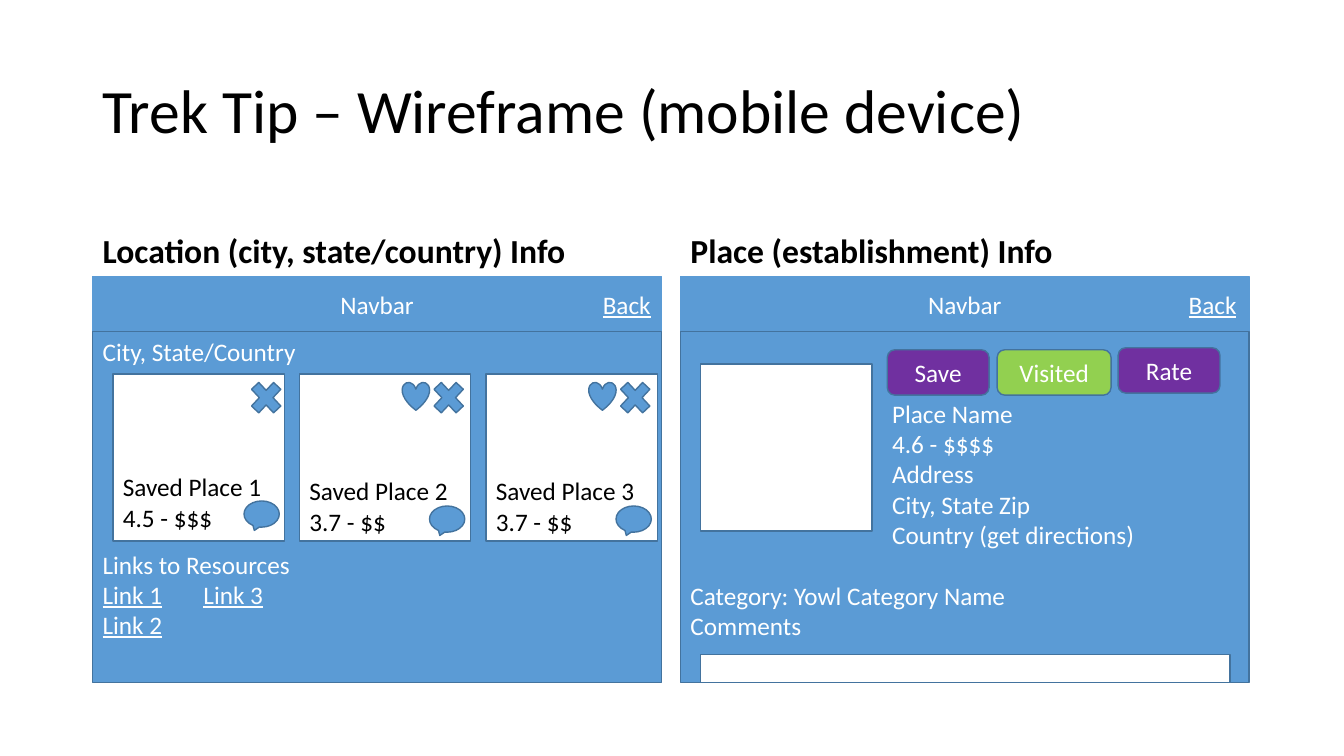
from pptx import Presentation
from pptx.dml.color import RGBColor
from pptx.enum import shapes, text
from pptx.util import Inches, Pt

COLORS = {
    "panel": "5B9BD5", "edge": "43739E", "white": "FFFFFF",
    "black": "000000", "purple": "7030A0", "green": "92D050",
}
SHAPE = shapes.MSO_SHAPE
ANCHOR = text.MSO_ANCHOR
ALIGN = text.PP_ALIGN


class Wireframe:
    """Holds the slide and the shared style of the mock-up."""

    font = "Calibri"
    size = 18

    def __init__(self, slide):
        self.slide = slide

    def color(self, name):
        return RGBColor.from_string(COLORS[name])

    def format_runs(self, paragraph, color, size=None, bold=False, underline=False):
        for run in paragraph.runs:
            run.font.name = self.font
            run.font.size = Pt(size or self.size)
            run.font.bold = bold
            run.font.underline = underline and run.text != "\t"
            run.font.color.rgb = self.color(color)

    def shape(self, kind, left, top, width, height, fill="panel", edge="edge"):
        item = self.slide.shapes.add_shape(
            kind, Inches(left), Inches(top), Inches(width), Inches(height))
        item.shadow.inherit = False
        item.fill.solid()
        item.fill.fore_color.rgb = self.color(fill)
        item.line.color.rgb = self.color(edge)
        item.line.width = Pt(1)
        return item

    def set_lines(self, item, lines, color="white", align=ALIGN.LEFT,
                  anchor=ANCHOR.MIDDLE):
        frame = item.text_frame
        frame.word_wrap = True
        frame.vertical_anchor = anchor
        frame.text = "\n".join(lines)
        for paragraph in frame.paragraphs:
            paragraph.alignment = align
            self.format_runs(paragraph, color)
        return frame

    def label(self, words, left, top, width, height, anchor=ANCHOR.TOP,
              wrap=True, spacing=1.0, color="black", **style):
        box = self.slide.shapes.add_textbox(
            Inches(left), Inches(top), Inches(width), Inches(height))
        frame = box.text_frame
        frame.word_wrap = wrap
        frame.vertical_anchor = anchor
        frame.text = words
        frame.paragraphs[0].line_spacing = spacing
        self.format_runs(frame.paragraphs[0], color, **style)

    def screen(self, heading, left, back_left, lines):
        """Draws a headed phone screen and returns the text frame of its body."""
        self.label(heading, left, 1.84, 5.65, 0.9, ANCHOR.BOTTOM,
                   spacing=0.9, size=24, bold=True)
        navbar = self.shape(SHAPE.RECTANGLE, left, 2.74, 5.64, 0.55, edge="panel")
        self.set_lines(navbar, ["Navbar"], align=ALIGN.CENTER)
        body = self.shape(SHAPE.RECTANGLE, left, 3.29, 5.64, 3.48)
        self.label("Back", back_left, 2.82, 0.68, 0.4, wrap=False,
                   color="white", underline=True)
        return self.set_lines(body, lines, anchor=ANCHOR.TOP)

    def card(self, left, lines, bottom_inset, icons):
        """Draws a saved place; icons are (kind, dx, top, width, height)."""
        place = self.shape(SHAPE.RECTANGLE, left, 3.71, 1.7, 1.66, "white")
        frame = self.set_lines(place, lines, "black", anchor=ANCHOR.BOTTOM)
        frame.margin_bottom = Inches(bottom_inset)
        for kind, dx, *box in icons:
            self.shape(kind, left + dx, *box)

    def button(self, words, left, top, width, fill):
        item = self.shape(SHAPE.ROUNDED_RECTANGLE, left, top, width, 0.45, fill)
        self.set_lines(item, [words], align=ALIGN.CENTER)


def location_screen(wireframe):
    frame = wireframe.screen(
        "Location (city, state/country) Info", 0.92, 5.88,
        ["City, State/Country", "Links to Resources", "", "Link 2"])
    _, resources, first_links, second_link = frame.paragraphs
    resources.space_before = Pt(130)
    for words in ("Link 1", "\t", "Link 3"):
        first_links.add_run().text = words
    for links in (first_links, second_link):
        wireframe.format_runs(links, "white", underline=True)

    heart = (SHAPE.HEART, 1.02, 3.79, 0.27, 0.28)
    remove = (SHAPE.MATH_MULTIPLY, 1.27, 3.72, 0.42, 0.45)
    comment = (SHAPE.OVAL_CALLOUT, 1.29, 5.02, 0.35, 0.26)
    first_icons = [(SHAPE.MATH_MULTIPLY, 1.31, 3.72, 0.42, 0.45),
                   (SHAPE.OVAL_CALLOUT, 1.3, 4.97, 0.35, 0.26)]
    places = [("4.5 - $$$", 0.09, first_icons),
              ("3.7 - $$", 0.05, [heart, remove, comment]),
              ("3.7 - $$", 0.05, [heart, remove, comment])]
    for index, (rating, inset, icons) in enumerate(places):
        wireframe.card(1.12 + 1.85 * index,
                       [f"Saved Place {index + 1}", rating], inset, icons)


def place_screen(wireframe):
    details = ["Place Name", "4.6 - $$$$", "Address", "City, State Zip",
               "Country (get directions)"]
    frame = wireframe.screen(
        "Place (establishment) Info", 6.75, 11.69,
        details + ["Category: Yowl Category Name", "Comments"])
    frame.margin_top = Inches(0.66)
    for paragraph in frame.paragraphs[:len(details)]:
        properties = paragraph._p.get_or_add_pPr()
        properties.set("marL", str(Inches(2)))
        properties.set("indent", "0")
    frame.paragraphs[len(details)].space_before = Pt(22)

    wireframe.shape(SHAPE.RECTANGLE, 6.95, 3.61, 1.7, 1.66, "white")
    wireframe.shape(SHAPE.RECTANGLE, 6.95, 6.49, 5.25, 0.28, "white")
    wireframe.button("Save", 8.8, 3.47, 1.01, "purple")
    wireframe.button("Visited", 9.89, 3.47, 1.13, "green")
    wireframe.button("Rate", 11.09, 3.45, 1.01, "purple")


def main():
    deck = Presentation()
    deck.slide_width = Inches(13.33)
    deck.slide_height = Inches(7.5)
    wireframe = Wireframe(deck.slides.add_slide(deck.slide_layouts[6]))
    wireframe.label("Trek Tip – Wireframe (mobile device)", 0.92, 0.4, 11.5, 1.45,
                    ANCHOR.MIDDLE, spacing=0.9, size=44)
    location_screen(wireframe)
    place_screen(wireframe)
    deck.save("out.pptx")


if __name__ == "__main__":
    main()
